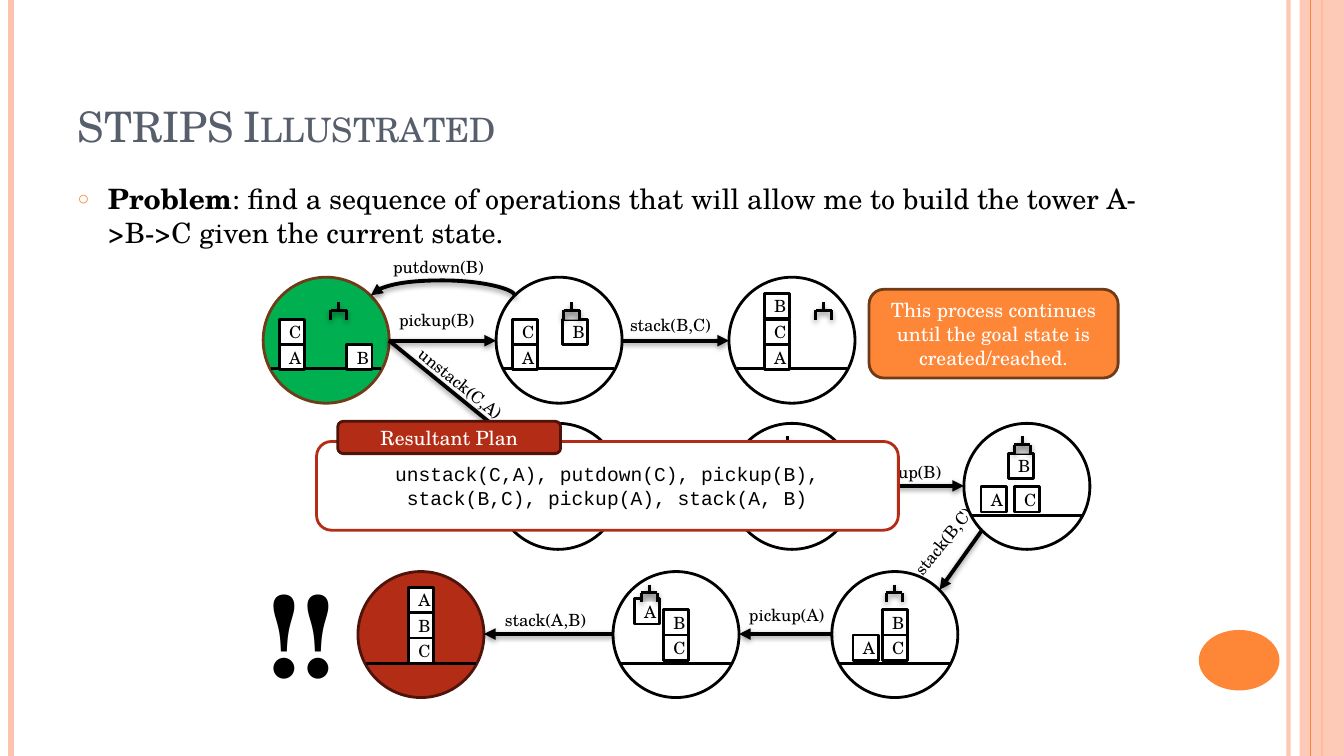
from dataclasses import dataclass
from lxml.etree import SubElement
from pptx import Presentation
from pptx.dml.color import RGBColor
from pptx.enum.shapes import MSO_CONNECTOR as LINK, MSO_SHAPE as SHAPE
from pptx.enum.text import MSO_ANCHOR as ANCHOR, MSO_AUTO_SIZE as FIT, PP_ALIGN as ALIGN
from pptx.oxml.ns import qn
from pptx.util import Inches, Pt


@dataclass(frozen=True)
class Theme:
    serif: str = "TeX Gyre Schola"
    mono: str = "Courier New"
    black: str = "000000"
    white: str = "FFFFFF"
    slate: str = "575F6D"
    orange: str = "FE8637"
    brown: str = "6F3B18"
    peach: str = "FEC3AE"
    green: str = "00B050"
    red: str = "B32C16"
    maroon: str = "4E130A"
    grip: str = "D0D0D0"
    title: int = 30
    body: int = 20
    callout: int = 14
    label: int = 12
    cheer: int = 80


T = Theme()
deck = Presentation()
deck.slide_width, deck.slide_height = Inches(13.33), Inches(7.5)
slide = deck.slides.add_slide(deck.slide_layouts[1])


def draw_line(start, end, color=T.black, width=2, shadow=None, arrow=False, kind=LINK.STRAIGHT):
    """Line between two points; shadow is (blur, distance, opacity)."""
    line = slide.shapes.add_connector(kind, *map(Inches, (*start, *end)))
    line.line.color.rgb, line.line.width = RGBColor.from_string(color), Pt(width)
    if arrow:
        SubElement(line.line._get_or_add_ln(), qn("a:tailEnd"), type="triangle")
    effects = SubElement(line._element.spPr, qn("a:effectLst"))
    if shadow:
        blur, distance, opacity = shadow
        outer = SubElement(effects, qn("a:outerShdw"), blurRad=str(Pt(blur)), dist=str(Pt(distance)),
                           dir="5400000", rotWithShape="0")
        tint = SubElement(outer, qn("a:srgbClr"), val=T.black)
        SubElement(tint, qn("a:alpha"), val=str(opacity * 1000))
    return line


def draw_box(kind, box, fill=None, edge=None, text="", size=T.label, color=T.black,
             font=T.serif, bold=False, wrap=True):
    """Preset shape with centred text, or a plain text box when kind is None."""
    place = [Inches(v) for v in box]
    if kind is None:
        item = slide.shapes.add_textbox(*place)
    else:
        item = slide.shapes.add_shape(kind, *place)
        item.shadow.inherit = False
        item.fill.solid()
        item.fill.fore_color.rgb = RGBColor.from_string(fill)
        if edge:
            item.line.color.rgb, item.line.width = RGBColor.from_string(edge), Pt(2)
        else:
            item.line.fill.background()
    if text:
        frame = item.text_frame
        frame.word_wrap = wrap
        paragraph = frame.paragraphs[0]
        if kind is not None:
            frame.vertical_anchor, paragraph.alignment = ANCHOR.MIDDLE, ALIGN.CENTER
        run = paragraph.add_run()
        run.text = text
        run.font.color.rgb = RGBColor.from_string(color)
        for name, value in {"name": font, "size": Pt(size), "bold": bold}.items():
            setattr(run.font, name, value)
    return item


# Side stripes and page ornament
inner_stripe = draw_line((12.78, 0), (12.78, 7.5), T.peach, 3)
draw_line((0.11, 0), (0.11, 7.5), T.peach, 4.5)
draw_line((13.11, 0), (13.11, 7.5), T.orange, 1.5)
band = draw_box(SHAPE.RECTANGLE, (12.89, 0, 0.44, 7.5), T.peach)
draw_line((13, 0), (13, 7.5), T.orange, 0.75)
draw_box(SHAPE.OVAL, (11.89, 6.25, 0.8, 0.6), T.orange)
for stripe, opacity in ((inner_stripe, 93), (band, 87)):
    tint = next(stripe._element.spPr.iter(qn("a:srgbClr")))
    SubElement(tint, qn("a:alpha"), val=str(opacity * 1000))

# Title and problem statement
heading, problem = slide.shapes.title, slide.placeholders[1]
statement = ": find a sequence of operations that will allow me to build the tower A->B->C given the current state."
for holder, box, anchor, size, color, parts in (
    (heading, (0.67, 0.3, 10.89, 1.25), ANCHOR.BOTTOM, T.title, T.slate, [("STRIPS Illustrated", False)]),
    (problem, (0.67, 1.75, 10.89, 5.33), ANCHOR.TOP, T.body, T.black, [("Problem", True), (statement, False)]),
):
    holder.left, holder.top, holder.width, holder.height = map(Inches, box)
    frame = holder.text_frame
    for name, value in {"auto_size": FIT.NONE, "vertical_anchor": anchor, "word_wrap": True}.items():
        setattr(frame, name, value)
    frame.paragraphs[0].alignment = ALIGN.LEFT
    for words, bold in parts:
        run = frame.paragraphs[0].add_run()
        run.text = words
        run.font.color.rgb = RGBColor.from_string(color)
        for name, value in {"name": T.serif, "size": Pt(size), "bold": bold}.items():
            setattr(run.font, name, value)
heading.text_frame.paragraphs[0].runs[0].font._element.set("cap", "small")

bullet = problem.text_frame.paragraphs[0]
bullet.space_before = Pt(6)
bullet_format = bullet._p.get_or_add_pPr()
bullet_format.set("marL", str(Inches(0.3)))
bullet_format.set("indent", str(Inches(-0.3)))
SubElement(SubElement(bullet_format, qn("a:buClr")), qn("a:srgbClr"), val=T.orange)
SubElement(bullet_format, qn("a:buSzPct"), val="70000")
SubElement(bullet_format, qn("a:buChar"), char="○")

# World states: corner, fill, edge, hand offset, holding, blocks by offset
DIAMETER, BLOCK = 1.25, 0.25
HAND_SHADOW, ARROW_SHADOW = (4, 2, 40), (4, 1.6, 42)
states = [
    ((2.61, 2.75), T.green, T.brown, (0.75, 0.25), False,
     [("A", 0.16, 0.67), ("C", 0.16, 0.42), ("B", 0.83, 0.67)]),
    ((4.92, 2.75), T.white, T.black, (0.75, 0.25), True,
     [("A", 0.16, 0.67), ("C", 0.16, 0.42), ("B", 0.66, 0.42)]),
    ((7.23, 2.75), T.white, T.black, (0.94, 0.25), False,
     [("A", 0.35, 0.67), ("C", 0.35, 0.42), ("B", 0.35, 0.16)]),
    ((4.91, 4.2), T.white, T.black, (0.58, 0.13), False, []),
    ((7.23, 4.2), T.white, T.black, (0.58, 0.13), False, []),
    ((9.56, 4.2), T.white, T.black, (0.58, 0.13), True,
     [("A", 0.17, 0.63), ("C", 0.5, 0.63), ("B", 0.44, 0.3)]),
    ((8.25, 5.67), T.white, T.black, (0.62, 0.13), False,
     [("A", 0.21, 0.63), ("C", 0.5, 0.63), ("B", 0.5, 0.38)]),
    ((6.08, 5.67), T.white, T.black, (0.36, 0.13), True,
     [("A", 0.21, 0.27), ("C", 0.5, 0.63), ("B", 0.5, 0.38)]),
    ((3.55, 5.67), T.red, T.maroon, None, False,
     [("A", 0.5, 0.16), ("C", 0.5, 0.66), ("B", 0.5, 0.41)]),
]
for (x, y), fill, edge, hand, holding, blocks in states:
    draw_box(SHAPE.OVAL, (x, y, DIAMETER, DIAMETER), fill, edge)
    if blocks:
        draw_line((x + 0.08, y + 0.91), (x + 1.17, y + 0.91), width=2.25)
    for letter, dx, dy in blocks:
        draw_box(SHAPE.RECTANGLE, (x + dx, y + dy, BLOCK, BLOCK), T.white, T.black, letter)
    if hand:
        mid, top = x + hand[0], y + hand[1]
        left, right, bar, tip = mid - 0.08, mid + 0.08, top + 0.08, top + 0.17
        if holding:
            draw_box(SHAPE.RECTANGLE, (left, bar, right - left, tip - bar), T.grip)
        for start, end in (((mid, top), (mid, bar)), ((left, bar), (right, bar)),
                           ((right, tip), (right, bar)), ((left, tip), (left, bar))):
            draw_line(start, end, shadow=HAND_SHADOW)

# Operations between states
for start, end in (
    ((3.86, 3.38), (4.92, 3.38)), ((3.86, 3.38), (5.09, 4.38)), ((6.17, 3.38), (7.23, 3.38)),
    ((6.16, 4.82), (7.23, 4.82)), ((8.49, 4.82), (9.56, 4.82)), ((9.74, 5.26), (9.32, 5.85)),
    ((8.25, 6.29), (7.33, 6.29)), ((6.08, 6.29), (4.8, 6.29)),
):
    draw_line(start, end, width=2.75, shadow=ARROW_SHADOW, arrow=True)

# Return arc, a quarter turn with its bend far outside the narrow frame
putdown = draw_line((4.39, 3.65), (4.4, 2.22), width=2.75, shadow=ARROW_SHADOW, arrow=True, kind=LINK.CURVE)
putdown._element.spPr.find(qn("a:xfrm")).set("rot", "16200000")
bend = next(putdown._element.spPr.iter(qn("a:avLst")))
SubElement(bend, qn("a:gd"), name="adj1", fmla="val 1600000")

# Operation labels
for words, x, y, width, angle, wrap in (
    ("pickup(B)", 3.86, 3.02, 0.96, 0, False), ("unstack(C,A)", 3.96, 3.67, 1.25, 39, False),
    ("putdown(B)", 3.8, 2.5, 1.12, 0, False), ("stack(B,C)", 6.15, 3.07, 1.01, 0, False),
    ("pickup(B)", 8.49, 4.53, 1.15, 0, True), ("stack(B,C)", 8.81, 5.12, 1.25, 309, True),
    ("pickup(A)", 7.33, 5.95, 1.15, 0, True), ("stack(A,B)", 4.91, 6, 1.15, 0, True),
):
    draw_box(None, (x, y, width, 0.3), text=words, wrap=wrap).rotation = angle
draw_box(None, (2.56, 5.56, 0.86, 1.45), text="!!", size=T.cheer, bold=True, wrap=False)

# Callouts and resulting plan
for box, fill, edge, color, font, words in (
    ((8.62, 2.87, 2.47, 0.88), T.orange, T.brown, T.white, T.serif,
     "This process continues until the goal state is created/reached."),
    ((3.14, 4.38, 5.77, 0.88), T.white, T.red, T.black, T.mono,
     "unstack(C,A), putdown(C), pickup(B), stack(B,C), pickup(A), stack(A, B)"),
    ((3.35, 4.18, 2.21, 0.32), T.red, T.maroon, T.white, T.serif, "Resultant Plan"),
):
    draw_box(SHAPE.ROUNDED_RECTANGLE, box, fill, edge, words, T.callout, color, font)

deck.save("out.pptx")
